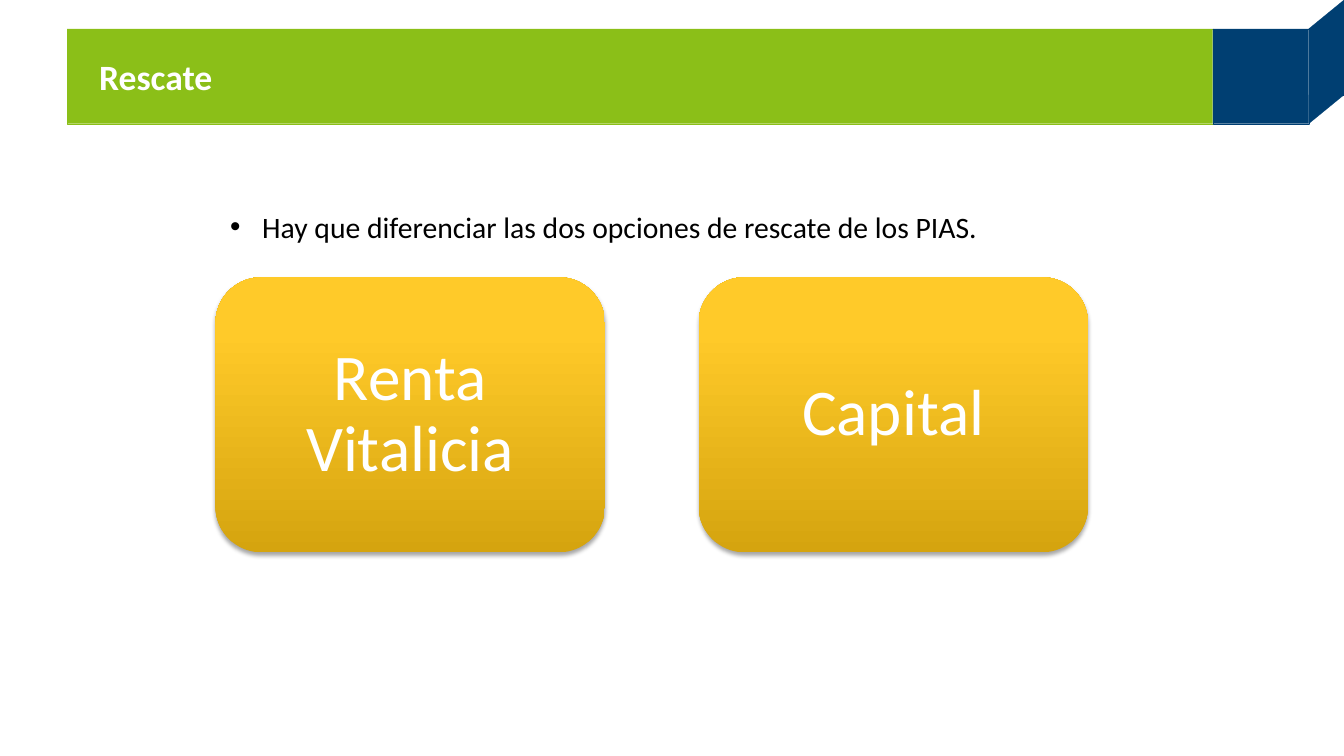
from copy import deepcopy
from dataclasses import dataclass

from lxml import etree
from pptx import Presentation
from pptx.dml.color import RGBColor
from pptx.enum.shapes import MSO_SHAPE
from pptx.enum.text import MSO_ANCHOR, PP_ALIGN
from pptx.oxml.ns import qn
from pptx.shapes.autoshape import Shape
from pptx.slide import Slide
from pptx.util import Inches, Pt

RECTANGLE = MSO_SHAPE.RECTANGLE
ROUNDED_RECTANGLE = MSO_SHAPE.ROUNDED_RECTANGLE
RIGHT_TRIANGLE = MSO_SHAPE.RIGHT_TRIANGLE
MIDDLE, TOP = MSO_ANCHOR.MIDDLE, MSO_ANCHOR.TOP
LEFT, CENTER, JUSTIFY = PP_ALIGN.LEFT, PP_ALIGN.CENTER, PP_ALIGN.JUSTIFY


@dataclass(frozen=True)
class Theme:
    """Colours, font and type sizes of the slide."""
    font: str = "Calibri"
    green: str = "8BBF18"
    navy: str = "003F72"
    white: str = "FFFFFF"
    black: str = "000000"
    gold_stops: tuple[tuple[float, str], ...] = ((0, "D5A40F"), (0.8, "FFCA29"), (1, "FFCA2B"))
    title_size: int = 24
    body_size: int = 20
    card_size: int = 44


@dataclass(frozen=True)
class Block:
    """A flat preset shape of the header band."""
    left: float
    top: float
    width: float
    height: float
    color: str
    preset: MSO_SHAPE = RECTANGLE
    rotation: int = 0


THEME = Theme()
BAND_TOP, BAND_HEIGHT = 0.27, 0.89
FOLD_LEFT, FOLD_WIDTH, FOLD_HEIGHT = 12.27, 0.33, 0.27
FOLD_SHIFT = (FOLD_WIDTH - FOLD_HEIGHT) / 2
TITLE_BAR = Block(0.63, BAND_TOP, 10.74, BAND_HEIGHT, THEME.green)
NAVY_BLOCKS = (
    Block(11.37, BAND_TOP, 0.9, BAND_HEIGHT, THEME.navy),
    Block(FOLD_LEFT, BAND_TOP, FOLD_WIDTH, BAND_HEIGHT - FOLD_HEIGHT, THEME.navy),
    Block(FOLD_LEFT + FOLD_SHIFT, -FOLD_SHIFT, FOLD_HEIGHT, FOLD_WIDTH,
          THEME.navy, RIGHT_TRIANGLE, 270),
    Block(FOLD_LEFT + FOLD_SHIFT, BAND_TOP + BAND_HEIGHT - FOLD_HEIGHT - FOLD_SHIFT,
          FOLD_HEIGHT, FOLD_WIDTH, THEME.navy, RIGHT_TRIANGLE, 90),
)
OPTIONS = ("Renta Vitalicia", "Capital")
CARD_LEFT, CARD_TOP, CARD_STEP = 2.02, 2.6, 4.53
CARD_WIDTH, CARD_HEIGHT = 3.65, 2.58


def write_text(shape: Shape, text: str, *, size: int, color: str, bold: bool = False,
               align: PP_ALIGN = LEFT, anchor: MSO_ANCHOR = MIDDLE, spacing: float = 1.0,
               insets: tuple[float, float, float, float] = (0.1, 0.05, 0.1, 0.05),
               bullet: bool = False) -> None:
    """Write one formatted paragraph into a shape."""
    frame = shape.text_frame
    frame.word_wrap = True
    frame.vertical_anchor = anchor
    frame.margin_left, frame.margin_top, frame.margin_right, frame.margin_bottom = map(Inches, insets)
    paragraph = frame.paragraphs[0]
    paragraph.text = text
    paragraph.alignment = align
    paragraph.line_spacing = spacing
    if bullet:
        properties = paragraph._p.get_or_add_pPr()
        properties.set("marL", str(Inches(0.31)))
        properties.set("indent", str(Inches(-0.3)))
        etree.SubElement(properties, qn("a:buFont"), typeface="Arial")
        etree.SubElement(properties, qn("a:buChar"), char="•")
    font = paragraph.runs[0].font
    font.name = THEME.font
    font.size = Pt(size)
    font.bold = bold
    font.color.rgb = RGBColor.from_string(color)


def add_block(slide: Slide, block: Block) -> Shape:
    """Draw a flat header block."""
    shape = slide.shapes.add_shape(block.preset, Inches(block.left), Inches(block.top),
                                   Inches(block.width), Inches(block.height))
    shape.shadow.inherit = False
    shape.rotation = block.rotation
    color = RGBColor.from_string(block.color)
    shape.fill.solid()
    shape.fill.fore_color.rgb = color
    shape.line.color.rgb = color
    shape.line.width = Pt(0.1)
    return shape


def fill_gold(shape: Shape) -> None:
    """Fill a shape with the upward gold gradient."""
    shape.fill.gradient()
    shape.fill.gradient_angle = 90
    stop_list = shape._element.spPr.find(".//" + qn("a:gsLst"))
    stop_list.append(deepcopy(stop_list[-1]))
    for stop, (position, color) in zip(shape.fill.gradient_stops, THEME.gold_stops):
        stop.position = position
        stop.color.rgb = RGBColor.from_string(color)


def add_soft_shadow(shape: Shape) -> None:
    """Give a shape a soft shadow just below it."""
    shape.shadow.inherit = False
    effects = shape._element.spPr.find(qn("a:effectLst"))
    shadow = etree.SubElement(effects, qn("a:outerShdw"), blurRad=str(Pt(3.1)),
                              dist=str(Pt(1.8)), dir="5400000", rotWithShape="0")
    color = etree.SubElement(shadow, qn("a:srgbClr"), val=THEME.black)
    etree.SubElement(color, qn("a:alpha"), val="35000")


def add_card(slide: Slide, index: int, text: str) -> None:
    """Draw the card of one redemption option."""
    card = slide.shapes.add_shape(ROUNDED_RECTANGLE, Inches(CARD_LEFT + index * CARD_STEP),
                                  Inches(CARD_TOP), Inches(CARD_WIDTH), Inches(CARD_HEIGHT))
    fill_gold(card)
    card.line.fill.background()
    add_soft_shadow(card)
    write_text(card, text, size=THEME.card_size, color=THEME.white, align=CENTER,
               spacing=0.9, insets=(0.12, 0.06, 0.12, 0.06))


def main() -> None:
    """Build and save the slide."""
    presentation = Presentation()
    presentation.slide_width = Inches(12.6)
    presentation.slide_height = Inches(7.09)
    slide = presentation.slides.add_slide(presentation.slide_layouts[6])
    title_bar = add_block(slide, TITLE_BAR)
    write_text(title_bar, "Rescate", size=THEME.title_size, color=THEME.white, bold=True,
               insets=(0.3, 0.04, 0.1, 0.04))
    for block in NAVY_BLOCKS:
        add_block(slide, block)
    statement = slide.shapes.add_textbox(Inches(2.05), Inches(1.81), Inches(8.11), Inches(0.69))
    write_text(statement, "Hay que diferenciar las dos opciones de rescate de los PIAS.",
               size=THEME.body_size, color=THEME.black, align=JUSTIFY, anchor=TOP,
               spacing=1.3, bullet=True)
    for index, option in enumerate(OPTIONS):
        add_card(slide, index, option)
    presentation.save("out.pptx")


if __name__ == "__main__":
    main()
